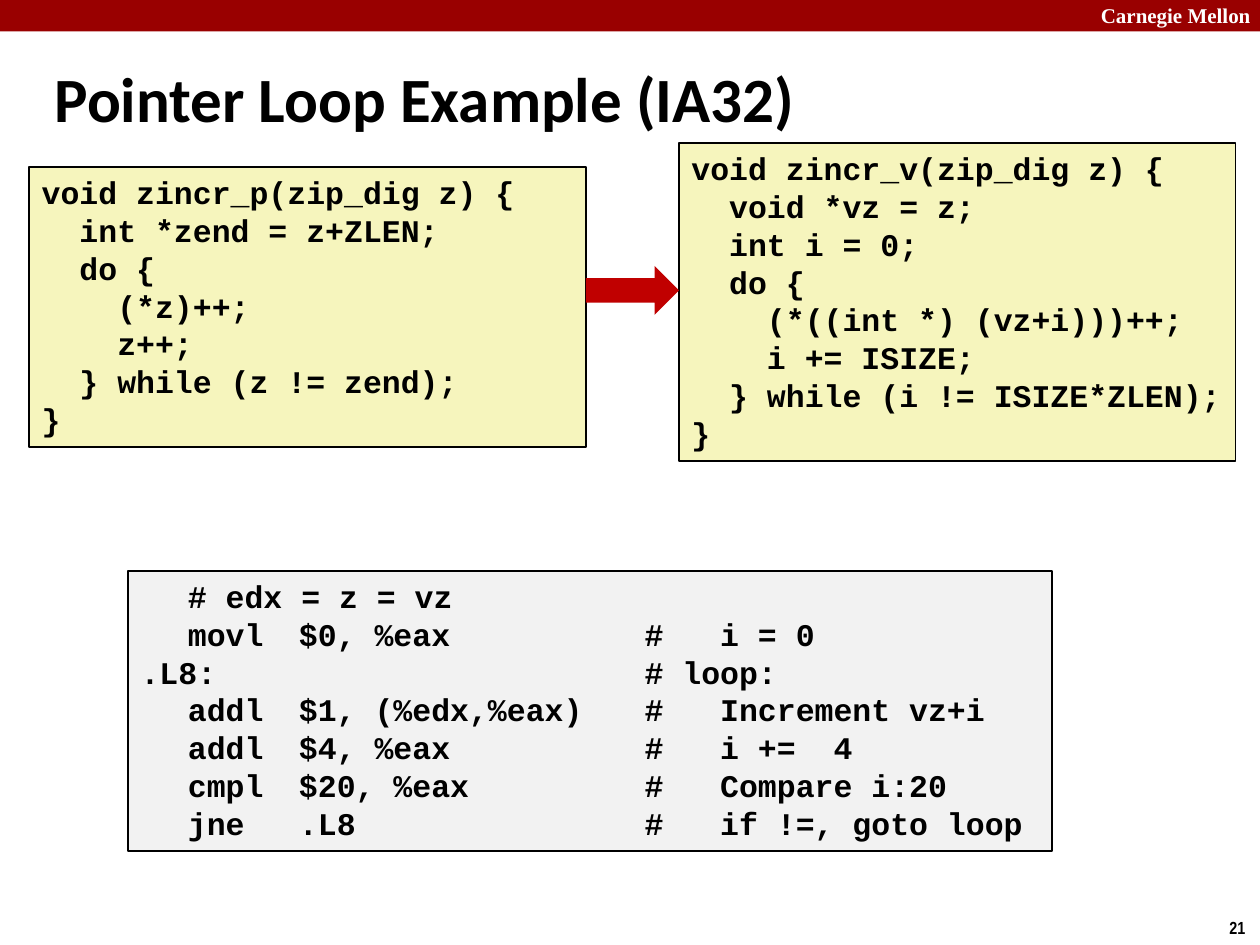
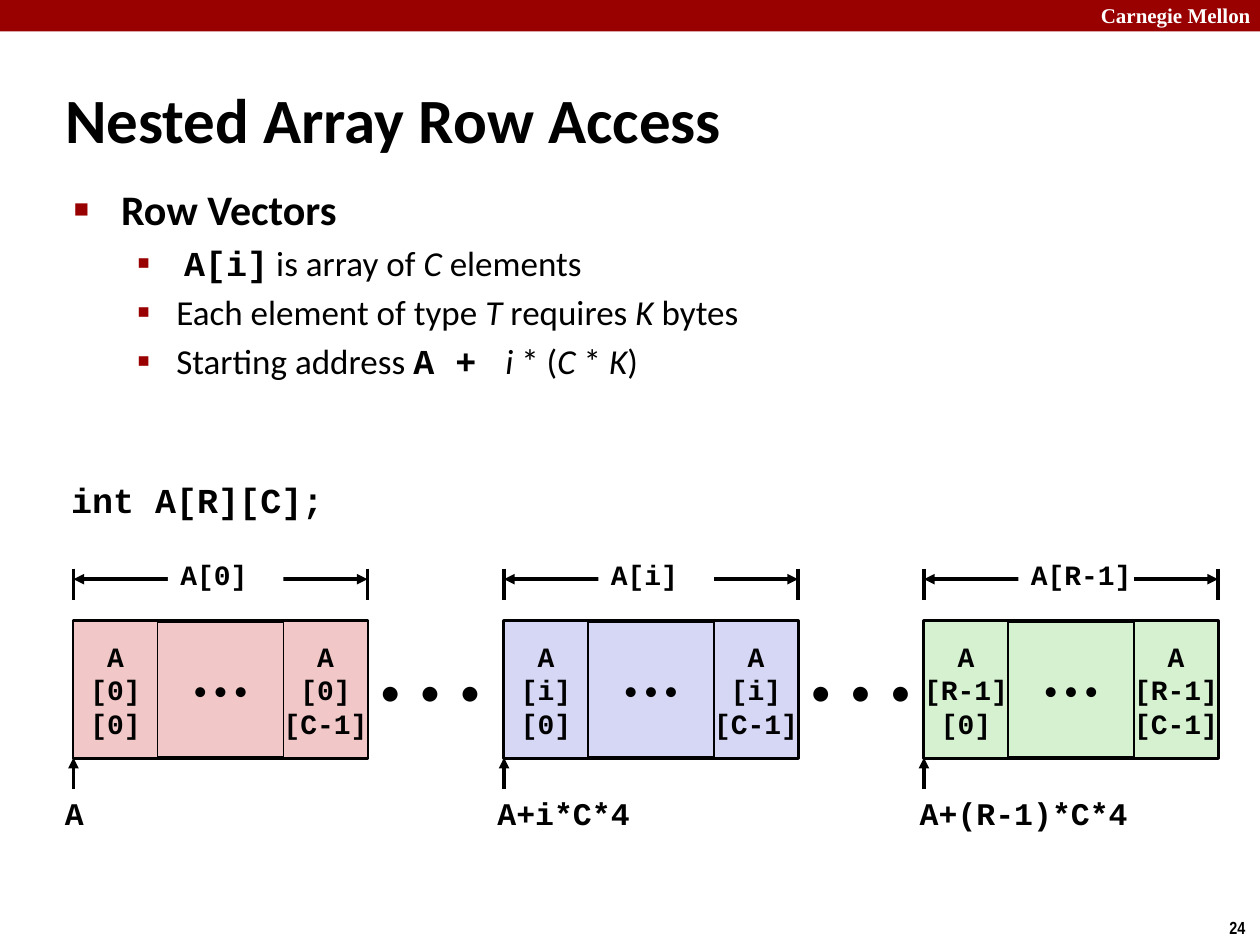
from lxml import etree
from pptx import Presentation
from pptx.dml.color import RGBColor
from pptx.enum import shapes, text
from pptx.oxml import ns
from pptx.util import Pt

BLACK = RGBColor(0x00, 0x00, 0x00)
WHITE = RGBColor(0xFF, 0xFF, 0xFF)
DARK_RED = RGBColor(0x99, 0x00, 0x00)
ARROW_RED = RGBColor(0xC0, 0x00, 0x00)
CODE_YELLOW = RGBColor(0xF6, 0xF5, 0xBD)
ASSEMBLY_GRAY = RGBColor(0xF2, 0xF2, 0xF2)
ROW_PINK = RGBColor(0xF1, 0xC7, 0xC7)
ROW_BLUE = RGBColor(0xD6, 0xD6, 0xF5)
ROW_GREEN = RGBColor(0xD5, 0xF1, 0xCF)

BODY_FONT = "Calibri"
CODE_FONT = "Courier New"
LEFT, CENTER, RIGHT = text.PP_ALIGN.LEFT, text.PP_ALIGN.CENTER, text.PP_ALIGN.RIGHT
TOP, MIDDLE = text.MSO_ANCHOR.TOP, text.MSO_ANCHOR.MIDDLE
RECTANGLE = shapes.MSO_SHAPE.RECTANGLE

POINTER_CODE = """void zincr_p(zip_dig z) {
  int *zend = z+ZLEN;
  do {
    (*z)++;
    z++;
  } while (z != zend);
}"""
OFFSET_CODE = """void zincr_v(zip_dig z) {
  void *vz = z;
  int i = 0;
  do {
    (*((int *) (vz+i)))++;
    i += ISIZE;
  } while (i != ISIZE*ZLEN);
}"""
ASSEMBLY = [
    "\t# edx = z = vz",
    "\tmovl\t$0, %eax\t#   i = 0",
    ".L8:\t\t# loop:",
    "\taddl\t$1, (%edx,%eax)\t#   Increment vz+i",
    "\taddl\t$4, %eax\t#   i +=  4",
    "\tcmpl\t$20, %eax\t#   Compare i:20",
    "\tjne\t.L8\t#   if !=, goto loop",
]
ASSEMBLY_TABS = (27, 90.5, 288)

PLAIN, BOLD, ITALIC, CODE = "plain", "bold", "italic", "code"
BULLETS = [
    (0, [("Row Vectors", BOLD)]),
    (1, [(" ", PLAIN), ("A[i]", CODE), (" is array of ", PLAIN), ("C", ITALIC), (" elements", PLAIN)]),
    (1, [("Each element of type ", PLAIN), ("T ", ITALIC), ("requires ", PLAIN), ("K ", ITALIC), ("bytes", PLAIN)]),
    (1, [("Starting address ", PLAIN), ("A + ", CODE), (" ", PLAIN), ("i", ITALIC), (" * (", PLAIN),
         ("C ", ITALIC), ("* ", PLAIN), ("K", ITALIC), (")", PLAIN)]),
]
BULLET_STYLES = [
    dict(size=24, margin=27, hanging=27, symbol="■", percent=60, before=0),
    dict(size=20, margin=58.5, hanging=22.5, symbol="▪", percent=110, before=4),
]
ARRAY_ROWS = [
    dict(index="0", left=42, fill=ROW_PINK, address="A", address_left=27, address_width=31),
    dict(index="i", left=288, fill=ROW_BLUE, address="A+i*C*4", address_left=265, address_width=114),
    dict(index="R-1", left=528, fill=ROW_GREEN, address="A+(R-1)*C*4", address_left=516, address_width=138),
]
CELL_DOTS = "• • •"
ROW_DOTS = "•  •  •"
ROW_WIDTH, CELL_WIDTH = 168, 48
ROW_TOP, ROW_HEIGHT = 355, 78


def points(*lengths):
    return [Pt(length) for length in lengths]


def write(shape, lines, size, font=CODE_FONT, bold=True, color=BLACK,
          align=LEFT, anchor=TOP, wrap=True, tabs=()):
    frame = shape.text_frame
    frame.word_wrap = wrap
    frame.vertical_anchor = anchor
    for number, line in enumerate(lines):
        paragraph = frame.paragraphs[0] if number == 0 else frame.add_paragraph()
        paragraph.text = line
        paragraph.alignment = align
        if tabs:
            tab_list = etree.SubElement(paragraph._p.get_or_add_pPr(), ns.qn("a:tabLst"))
            for position in tabs:
                etree.SubElement(tab_list, ns.qn("a:tab"), pos=str(Pt(position)), algn="l")
        paragraph.font.name = font
        paragraph.font.size = Pt(size)
        paragraph.font.bold = bold
        paragraph.font.color.rgb = color


def add_text(slide, box, line, size, **style):
    write(slide.shapes.add_textbox(*points(*box)), [line], size, **style)


def add_box(slide, box, fill, outline=None, kind=RECTANGLE):
    shape = slide.shapes.add_shape(kind, *points(*box))
    shape.shadow.inherit = False
    shape.fill.solid()
    shape.fill.fore_color.rgb = fill
    if outline:
        shape.line.color.rgb = BLACK
        shape.line.width = Pt(outline)
    else:
        shape.line.fill.background()
    return shape


def add_line(slide, start, end, arrowheads=()):
    connector = slide.shapes.add_connector(shapes.MSO_CONNECTOR.STRAIGHT, *points(*start, *end))
    connector.line.color.rgb = BLACK
    connector.line.width = Pt(2)
    properties = connector._element.spPr
    for arrowhead in arrowheads:
        etree.SubElement(properties.find(ns.qn("a:ln")), ns.qn(f"a:{arrowhead}"), type="triangle")
    etree.SubElement(properties, ns.qn("a:effectLst"))


def place(placeholder, box):
    placeholder.left, placeholder.top, placeholder.width, placeholder.height = points(*box)
    placeholder.text_frame.auto_size = text.MSO_AUTO_SIZE.NONE


def add_slide(presentation, layout, title, title_box, number):
    slide = presentation.slides.add_slide(presentation.slide_layouts.get_by_name(layout))
    add_box(slide, (0, 0, 720, 18), DARK_RED)
    add_text(slide, (622, -2, 103, 22), "Carnegie Mellon", 12, font="Times New Roman", color=WHITE)
    add_text(slide, (695.5, 520.5, 24.5, 19.5), str(number), 10, font="Arial Narrow", wrap=False)
    place(slide.shapes.title, title_box)
    write(slide.shapes.title, [title], 36, font=BODY_FONT, anchor=MIDDLE)
    return slide


def add_bullets(body):
    frame = body.text_frame
    for number, (level, runs) in enumerate(BULLETS):
        style = BULLET_STYLES[level]
        paragraph = frame.paragraphs[0] if number == 0 else frame.add_paragraph()
        paragraph.level = level
        properties = paragraph._p.get_or_add_pPr()
        properties.set("marL", str(Pt(style["margin"])))
        properties.set("indent", str(-Pt(style["hanging"])))
        color = etree.SubElement(properties, ns.qn("a:buClr"))
        etree.SubElement(color, ns.qn("a:srgbClr"), val=str(DARK_RED))
        etree.SubElement(properties, ns.qn("a:buSzPct"), val=str(style["percent"] * 1000))
        etree.SubElement(properties, ns.qn("a:buChar"), char=style["symbol"])
        paragraph.space_before = Pt(style["before"])
        paragraph.font.size = Pt(style["size"])
        paragraph.font.color.rgb = BLACK
        for words, look in runs:
            run = paragraph.add_run()
            run.text = words
            run.font.name = CODE_FONT if look == CODE else BODY_FONT
            run.font.bold = look in (BOLD, CODE)
            run.font.italic = look == ITALIC


def add_array_row(slide, row):
    left, index, fill = row["left"], row["index"], row["fill"]
    right = left + ROW_WIDTH
    bottom = ROW_TOP + ROW_HEIGHT
    whole = add_box(slide, (left, ROW_TOP, ROW_WIDTH, ROW_HEIGHT), fill, 2.25)
    write(whole, [CELL_DOTS], 16, font=BODY_FONT, bold=False, align=CENTER, anchor=MIDDLE, wrap=False)
    for cell_left, column in ((left, "0"), (right - CELL_WIDTH, "C-1")):
        cell = add_box(slide, (cell_left, ROW_TOP, CELL_WIDTH, ROW_HEIGHT), fill, 1)
        write(cell, ["A", f"[{index}]", f"[{column}]"], 16, align=CENTER, anchor=MIDDLE, wrap=False)
    for edge in (left, right):
        add_line(slide, (edge, 325), (edge, 343))
    add_line(slide, (left, 331), (right, 331), ("headEnd", "tailEnd"))
    label = add_box(slide, (left + 54, 313, 66, 30), WHITE)
    write(label, [f"A[{index}]"], 16, anchor=MIDDLE, wrap=False)
    add_line(slide, (left, bottom + 18), (left, bottom), ("tailEnd",))
    add_text(slide, (row["address_left"], 450, row["address_width"], 29), row["address"], 18, align=CENTER)


def build_pointer_loop(presentation):
    slide = add_slide(presentation, "Title Only", "Pointer Loop Example (IA32)", (24, 33, 660, 45.5), 21)
    for code, box in ((POINTER_CODE, (16.75, 95.5, 318, 160)), (OFFSET_CODE, (388, 81.75, 318, 181.5))):
        write(add_box(slide, box, CODE_YELLOW, 1), code.splitlines(), 18)
    assembly = add_box(slide, (73.25, 326.25, 528, 160), ASSEMBLY_GRAY, 1)
    write(assembly, ASSEMBLY, 18, tabs=ASSEMBLY_TABS)
    add_box(slide, (334.75, 152, 53.25, 28), ARROW_RED, kind=shapes.MSO_SHAPE.RIGHT_ARROW)


def build_row_access(presentation):
    slide = add_slide(presentation, "Title and Content", "Nested Array Row Access", (30, 45, 546, 45.5), 24)
    body = slide.placeholders[1]
    place(body, (35, 101.5, 470, 114.5))
    add_bullets(body)
    add_text(slide, (22, 270, 170, 31), "int A[R][C];", 20, align=RIGHT)
    for row in ARRAY_ROWS[:-1]:
        gap = add_box(slide, (row["left"] + ROW_WIDTH, ROW_TOP, 78, ROW_HEIGHT), WHITE)
        write(gap, [ROW_DOTS], 24, font=BODY_FONT, bold=False, anchor=MIDDLE, wrap=False)
    for row in ARRAY_ROWS:
        add_array_row(slide, row)


def main():
    presentation = Presentation()
    presentation.slide_width, presentation.slide_height = points(720, 540)
    build_pointer_loop(presentation)
    build_row_access(presentation)
    presentation.save("out.pptx")


if __name__ == "__main__":
    main()
